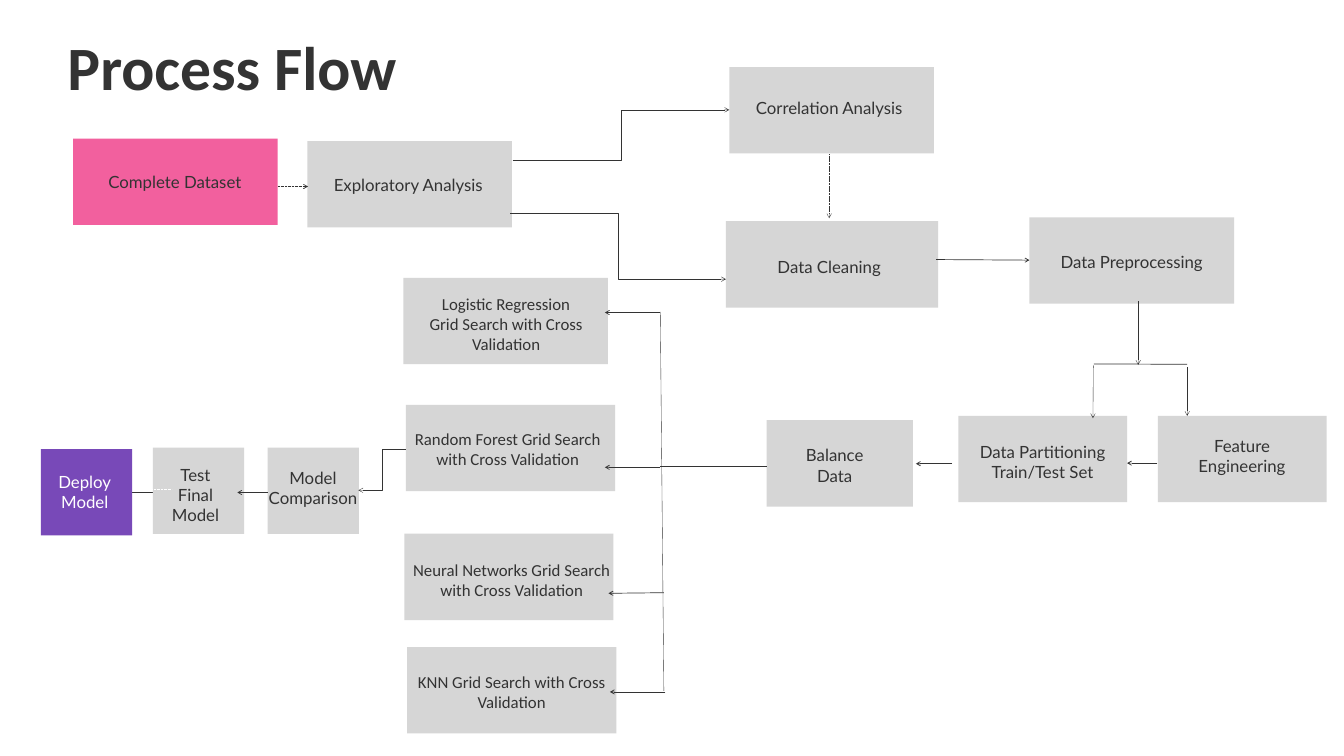
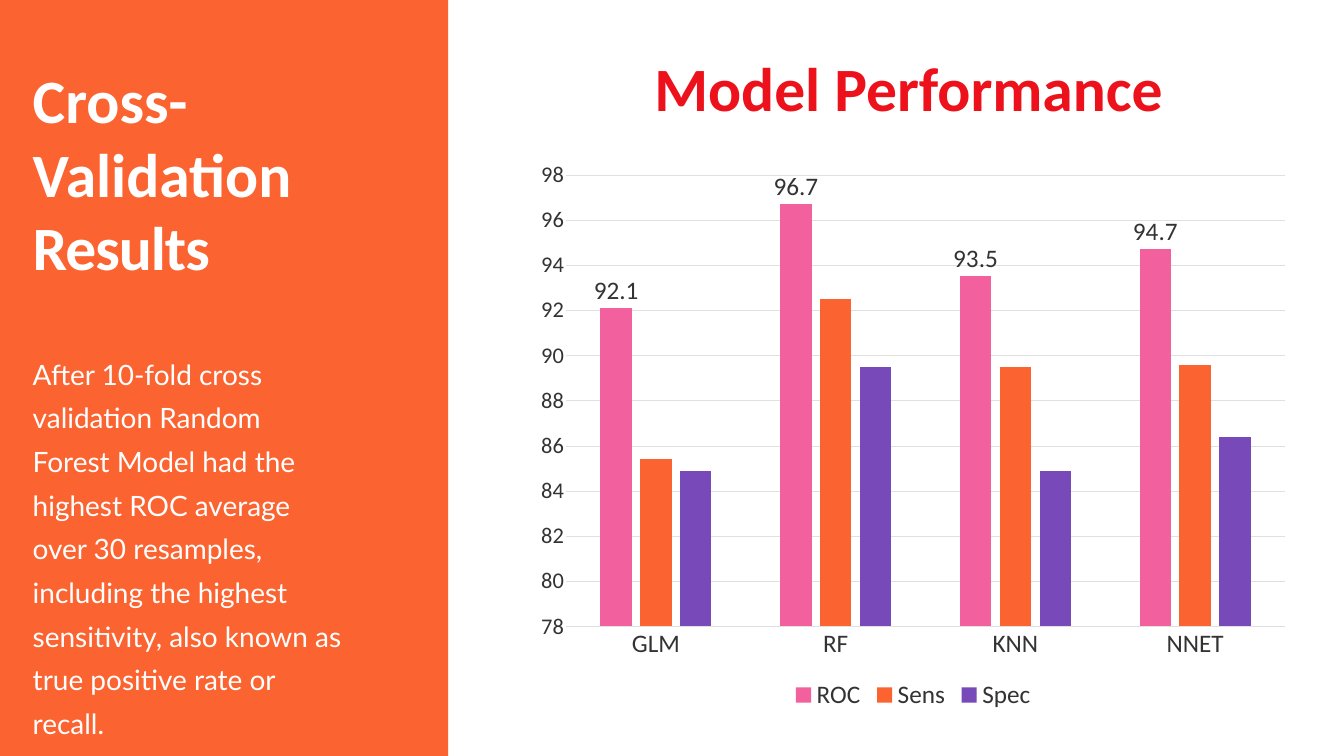
from lxml import etree
from pptx import Presentation
from pptx.chart.data import CategoryChartData
from pptx.dml.color import RGBColor
from pptx.enum.chart import XL_CHART_TYPE, XL_LABEL_POSITION, XL_LEGEND_POSITION, XL_TICK_MARK
from pptx.enum.dml import MSO_LINE
from pptx.enum.shapes import MSO_CONNECTOR, MSO_SHAPE
from pptx.enum.text import MSO_ANCHOR, MSO_AUTO_SIZE, PP_ALIGN
from pptx.oxml.ns import qn
from pptx.util import Cm, Pt

INK = RGBColor(0x33, 0x33, 0x33)
WHITE = RGBColor(0xFF, 0xFF, 0xFF)
GREY = RGBColor(0xD6, 0xD6, 0xD6)
RULE = RGBColor(0xE0, 0xE0, 0xE0)
PINK = RGBColor(0xF2, 0x60, 0x9E)
ORANGE = RGBColor(0xFB, 0x63, 0x30)
PURPLE = RGBColor(0x78, 0x49, 0xB8)
RED = RGBColor(0xEC, 0x11, 0x1A)

LATO, CALIBRI = "Lato", "Calibri"
LEFT, CENTER = PP_ALIGN.LEFT, PP_ALIGN.CENTER
STRAIGHT, ELBOW = MSO_CONNECTOR.STRAIGHT, MSO_CONNECTOR.ELBOW
DOT, DASH = MSO_LINE.ROUND_DOT, MSO_LINE.SQUARE_DOT
RECT = MSO_SHAPE.RECTANGLE
NO_TICK = XL_TICK_MARK.NONE

WIDE, HIGH, SMALL, SEARCH, SPLIT = 10.31, 4.35, 4.6, 10.54, 8.51
LABEL, LINE = 10.26, 1.02

# left, top, width, label left, label top, lines, text
STEPS = [
    (3.68, 6.99, WIDE, 3.68, 8.64, 1, "Complete Dataset"),
    (15.49, 7.11, WIDE, 15.44, 8.79, 1, "Exploratory Analysis"),
    (36.58, 11.15, 10.69, 36.65, 12.93, 1, "Data Cleaning"),
    (36.75, 3.38, WIDE, 36.65, 4.9, 1, "Correlation Analysis"),
    (51.87, 10.95, WIDE, 51.89, 12.67, 1, "Data Preprocessing"),
    (48.29, 20.96, SPLIT, 47.4, 22.25, 2, "Data Partitioning\nTrain/Test Set"),
    (58.34, 20.96, SPLIT, 57.45, 21.97, 2, "Feature\nEngineering"),
    (38.63, 21.18, 7.37, 36.93, 22.43, 2, "Balance\nData"),
    (13.49, 22.56, SMALL, 10.64, 23.55, 2, "Model\nComparison"),
    (7.7, 22.56, SMALL, 4.72, 23.42, 3, "Test\nFinal\nModel"),
    (2.06, 22.63, SMALL, -0.86, 23.75, 2, "Deploy\nModel"),
]
MODELS = [
    (20.32, 14, WIDE, 20.37, 14.78, 3, "Logistic Regression\nGrid Search with Cross Validation"),
    (20.45, 20.4, SEARCH, 20.45, 21.59, 2, "Random Forest Grid Search with Cross Validation"),
    (20.37, 26.9, SEARCH, 20.65, 28.22, 2, "Neural Networks Grid Search with Cross Validation"),
    (20.52, 32.61, SEARCH, 20.65, 33.86, 2, "KNN Grid Search with Cross Validation"),
]
FILLS = {"Complete Dataset": PINK, "Deploy\nModel": PURPLE}
INKS = {"Deploy\nModel": WHITE}

THICK = [
    (51.87, 13.11, 47.17, 13.08),
    (58.32, 23.34, 56.79, 23.34),
    (47.98, 23.37, 46.15, 23.37),
    (33.27, 15.75, 30.48, 15.75),
    (33.27, 23.55, 30.48, 23.55),
    (33.45, 29.87, 30.66, 29.9),
    (33.53, 34.87, 30.73, 34.87),
    (13.49, 24.82, 11.96, 24.82),
]
THIN = [
    (57.35, 15.19, 57.35, 18.39),
    (55.09, 18.42, 55.07, 21.08),
    (59.82, 18.52, 59.82, 20.96),
]
BENDS = [
    (25.83, 8.05, 36.75, 5.54),
    (25.7, 10.72, 36.58, 14.07),
    (20.45, 22.63, 18.06, 24.71),
]
SCORES = [
    ("ROC", (92.1, 96.7, 93.5, 94.7), PINK),
    ("Sens", (85.4, 92.5, 89.5, 89.6), ORANGE),
    ("Spec", (84.9, 89.5, 84.9, 86.4), PURPLE),
]


def style(font, size, color=INK, face=CALIBRI, bold=False):
    font.size, font.name, font.bold = Pt(size), face, bold
    font.color.rgb = color


def write(shape, text, size, color=INK, face=CALIBRI, bold=False, align=LEFT, space=None):
    frame = shape.text_frame
    frame.word_wrap = True
    frame.auto_size = MSO_AUTO_SIZE.NONE
    frame.vertical_anchor = MSO_ANCHOR.TOP
    frame.margin_left = frame.margin_right = frame.margin_top = frame.margin_bottom = 0
    frame.text = text
    for para in frame.paragraphs:
        para.alignment = align
        para.line_spacing = space
        style(para.font, size, color, face, bold)


def add_text(slide, area, text, size, **look):
    shape = slide.shapes.add_textbox(*map(Cm, area))
    write(shape, text, size, **look)


def add_box(slide, area, color):
    box = slide.shapes.add_shape(RECT, *map(Cm, area))
    box.shadow.inherit = False
    box.fill.solid()
    box.fill.fore_color.rgb = color
    box.line.fill.background()
    return box


def add_line(slide, ends, width, kind=STRAIGHT, arrow=True, dash=None, color=INK):
    link = slide.shapes.add_connector(kind, *map(Cm, ends))
    link.line.width = Pt(width)
    link.line.color.rgb = color
    if dash:
        link.line.dash_style = dash
    if arrow:
        tip = etree.SubElement(link.line._get_or_add_ln(), qn("a:tailEnd"))
        tip.set("type", "arrow")
    etree.SubElement(link._element.spPr, qn("a:effectLst"))


def add_slide(deck, title, area, color):
    slide = deck.slides.add_slide(deck.slide_layouts[5])
    head = slide.shapes.title
    head.left, head.top, head.width, head.height = map(Cm, area)
    write(head, title, 88, color, bold=True)
    return slide


def add_steps(slide, steps, face):
    for left, top, width, *_, text in steps:
        add_box(slide, (left, top, width, HIGH), FILLS.get(text, GREY))
    for *_, left, top, lines, text in steps:
        area = (left, top, LABEL, lines * LINE)
        add_text(slide, area, text, 24, color=INKS.get(text, INK), face=face, align=CENTER)


def add_scores(slide, area):
    data = CategoryChartData(number_format="0.0")
    data.categories = ["GLM", "RF", "KNN", "NNET"]
    for name, values, _ in SCORES:
        data.add_series(name, values)
    kind = XL_CHART_TYPE.COLUMN_CLUSTERED
    chart = slide.shapes.add_chart(kind, *map(Cm, area), data).chart
    style(chart.font, 10)
    chart.has_title = False
    chart.has_legend = True
    chart.legend.position = XL_LEGEND_POSITION.BOTTOM
    chart.legend.include_in_layout = False
    style(chart.legend.font, 36)

    cats, vals = chart.category_axis, chart.value_axis
    for axis, size in ((cats, 36), (vals, 32)):
        axis.major_tick_mark = axis.minor_tick_mark = NO_TICK
        style(axis.tick_labels.font, size)
    vals.minimum_scale, vals.maximum_scale, vals.major_unit = 78, 98, 2
    vals.tick_labels.number_format = "0"
    vals.tick_labels.number_format_is_linked = False
    vals.format.line.fill.background()
    for line in (cats.format.line, vals.major_gridlines.format.line):
        line.color.rgb = RULE
        line.width = Pt(0.75)

    plot = chart.plots[0]
    plot.vary_by_categories = False
    plot.gap_width, plot.overlap = 219, -27
    for bars, (_, _, color) in zip(plot.series, SCORES):
        bars.format.fill.solid()
        bars.format.fill.fore_color.rgb = color
        bars.invert_if_negative = False
    tags = plot.series[0].data_labels
    tags.show_value = True
    tags.position = XL_LABEL_POSITION.OUTSIDE_END
    style(tags.font, 36)


def add_flow(deck):
    slide = add_slide(deck, "Process Flow", (3.4, 1.47, 40.5, 3.76), INK)
    add_line(slide, (7.8, 24.82, 6.27, 24.82), 1)
    add_steps(slide, STEPS, LATO)
    add_steps(slide, MODELS, CALIBRI)
    for ends in THICK[1:]:
        add_line(slide, ends, 1)
    x1, y1, x2, y2 = THICK[0]
    add_line(slide, (x2, y2, x1, y1), 1)
    for ends in THIN:
        add_line(slide, ends, 0.5)
    for ends in BENDS:
        add_line(slide, ends, 0.5, ELBOW)
    add_line(slide, (14, 9.4, 15.52, 9.4), 1, dash=DOT)
    add_line(slide, (41.78, 7.77, 41.78, 11), 0.5, dash=DASH)
    add_line(slide, (55.12, 18.34, 59.82, 18.36), 1, arrow=False)
    add_line(slide, (38.63, 23.52, 33.27, 23.52), 1, arrow=False)
    add_line(slide, (33.27, 15.72, 33.45, 34.82), 0.5, arrow=False)
    add_line(slide, (6.91, 24.66, 8.66, 24.66), 1, arrow=False, dash=DOT, color=WHITE)


def add_results(deck):
    slide = add_slide(deck, "Cross-Validation\nResults", (1.65, 3.1, 19.18, 11.28), WHITE)
    last = slide.shapes.title.text_frame.paragraphs[1].runs[0]
    last._r.get_or_add_rPr().set("spc", "-150")
    panel = add_box(slide, (0, 0, 22.58, 38.1), ORANGE)
    slide.shapes._spTree.insert(2, panel._element)
    add_scores(slide, (26.49, 7.54, 39.04, 28.52))
    add_text(slide, (1.65, 17.5, 15.7, 15.39),
             "After 10-fold cross validation Random Forest Model had the highest ROC average "
             "over 30 resamples, including the highest sensitivity, also known as true positive "
             "rate or recall.", 40, color=WHITE, face=LATO, space=1.3)
    add_text(slide, (32.97, 2.51, 28.07, 3.89), "Model Performance", 88, color=RED, bold=True)


def main():
    deck = Presentation()
    deck.slide_width, deck.slide_height = Cm(67.72), Cm(38.1)
    add_flow(deck)
    add_results(deck)
    deck.save("out.pptx")


if __name__ == "__main__":
    main()
